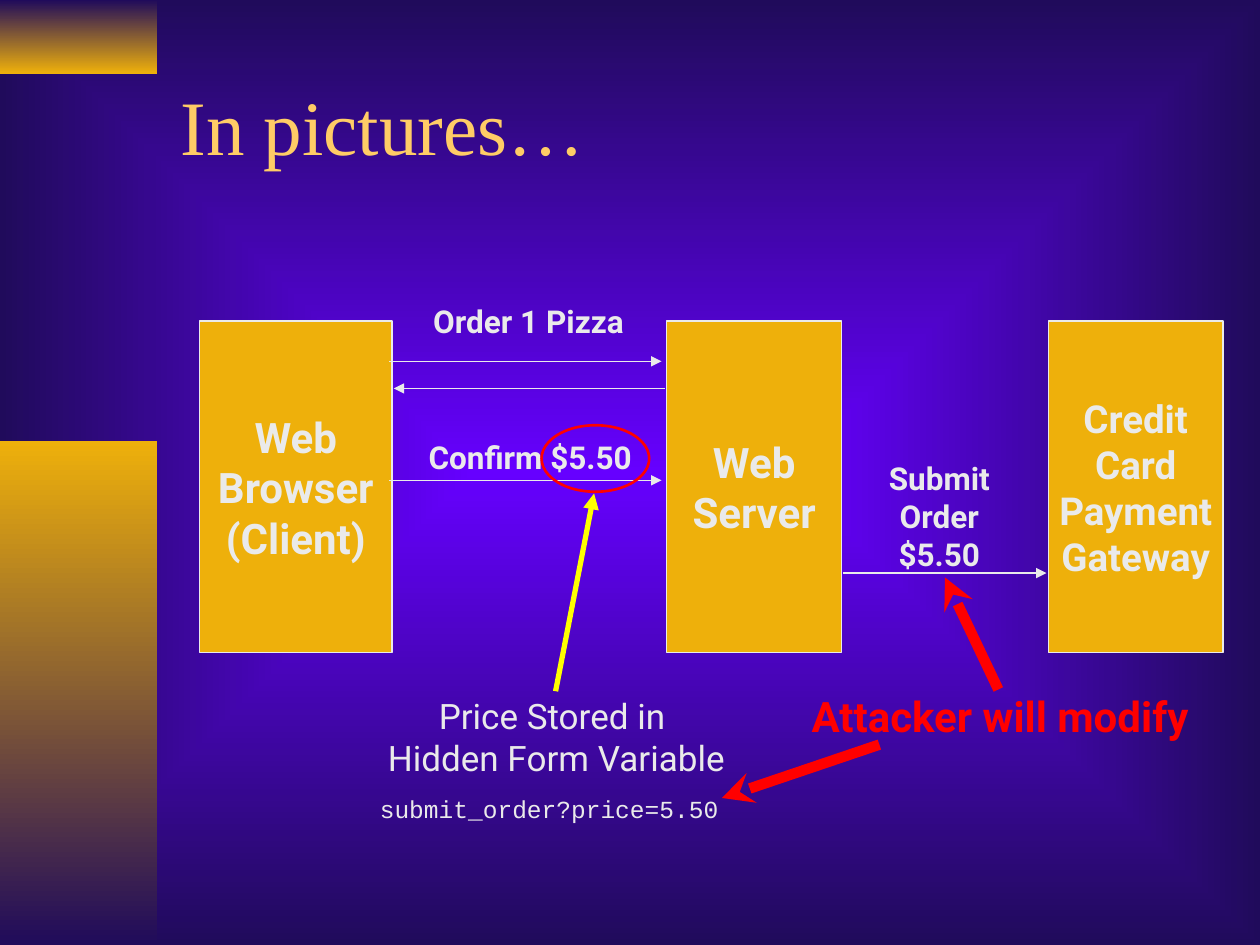
from dataclasses import dataclass

import pptx
import pptx.dml.color
import pptx.enum.dml
import pptx.enum.shapes
import pptx.enum.text
import pptx.oxml
import pptx.oxml.ns
import pptx.util

Pt = pptx.util.Pt
qn = pptx.oxml.ns.qn
Shape = pptx.enum.shapes.MSO_SHAPE
Align = pptx.enum.text.PP_ALIGN
Anchor = pptx.enum.text.MSO_ANCHOR
NAMESPACE = pptx.oxml.ns.nsdecls("a")


@dataclass(frozen=True)
class Theme:
    """Colours, fonts and type sizes of the slide."""
    violet: str = "6600FF"
    navy: str = "200B5B"
    gold: str = "EEB00B"
    title: str = "FFCC66"
    light: str = "EAEAEA"
    red: str = "FF0000"
    yellow: str = "FFFF00"
    serif: str = "Times New Roman"
    sans: str = "Roboto"
    mono: str = "Courier New"
    title_size: int = 44
    node_size: int = 24
    gateway_size: int = 22
    note_size: int = 20
    label_size: int = 18
    code_size: int = 14


THEME = Theme()


def rgb(value):
    """Turn a hex string into a colour."""
    return pptx.dml.color.RGBColor.from_string(value)


def fill_gradient(fill, start, end):
    """Fill from the start colour at the top to the end colour at the bottom."""
    fill.gradient()
    fill.gradient_angle = 270
    for stop, colour, position in zip(fill.gradient_stops, (start, end), (0, 1)):
        stop.color.rgb = rgb(colour)
        stop.position = position


def paint_background(page):
    """Paint a rectangular gradient that spreads from the centre."""
    fill_gradient(page.background.fill, THEME.violet, THEME.navy)
    gradient = page.element.find(".//" + qn("a:gradFill"))
    gradient.remove(gradient.find(qn("a:lin")))
    gradient.append(pptx.oxml.parse_xml(
        f'<a:path {NAMESPACE} path="rect">'
        '<a:fillToRect l="50000" t="50000" r="50000" b="50000"/></a:path>'))


def write_paragraph(para, text, size, font=THEME.sans, colour=THEME.light,
                    bold=False, align=Align.CENTER, before=0):
    """Write one paragraph, with a line break at each newline."""
    para.alignment = align
    para.space_before = Pt(before)
    for index, line in enumerate(text.split("\n")):
        if index:
            para.add_line_break()
        span = para.add_run()
        span.text = line
        span.font.size = Pt(size)
        span.font.name = font
        span.font.bold = bold
        span.font.color.rgb = rgb(colour)


def add_text(page, box, paragraphs, size, wrap=False, anchor=Anchor.TOP, **style):
    """Add a text box whose paragraphs share one style."""
    frame = page.shapes.add_textbox(*map(Pt, box)).text_frame
    frame.word_wrap = wrap
    frame.vertical_anchor = anchor
    for index, text in enumerate(paragraphs):
        para = frame.add_paragraph() if index else frame.paragraphs[0]
        write_paragraph(para, text, size, **style)
    return frame


def add_node(page, box, paragraphs, size):
    """Add a gold rectangle with a bold centred name."""
    node = page.shapes.add_shape(Shape.RECTANGLE, *map(Pt, box))
    node.shadow.inherit = False
    node.fill.solid()
    node.fill.fore_color.rgb = rgb(THEME.gold)
    node.line.color.rgb = rgb(THEME.light)
    node.line.width = Pt(0.75)
    frame = node.text_frame
    frame.word_wrap = False
    frame.vertical_anchor = Anchor.MIDDLE
    for index, text in enumerate(paragraphs):
        para = frame.add_paragraph() if index else frame.paragraphs[0]
        write_paragraph(para, text, size, bold=True)


def add_arrow(page, start, end, colour=THEME.light, width=0.75,
              tip="tailEnd", style="triangle"):
    """Add a straight line with one arrowhead."""
    arrow = page.shapes.add_connector(
        pptx.enum.shapes.MSO_CONNECTOR.STRAIGHT, *map(Pt, (*start, *end)))
    arrow.line.color.rgb = rgb(colour)
    arrow.line.width = Pt(width)
    properties = arrow.element.spPr
    properties.find(qn("a:ln")).append(
        pptx.oxml.parse_xml(f'<a:{tip} {NAMESPACE} type="{style}"/>'))
    properties.append(pptx.oxml.parse_xml(f"<a:effectLst {NAMESPACE}/>"))


def add_sidebar(page, box):
    """Place the two fading gold bars at the ends of the left edge."""
    left, top, width, height = box
    bars = ((0, 42, THEME.navy, THEME.gold),
            (height - 288, 288, THEME.gold, THEME.navy))
    for offset, length, start, end in bars:
        bar = page.shapes.add_shape(
            Shape.RECTANGLE, *map(Pt, (left, top + offset, width, length)))
        bar.shadow.inherit = False
        fill_gradient(bar.fill, start, end)
        bar.line.fill.background()


def add_title(page, box):
    """Place the slide title."""
    add_text(page, box, ["In pictures…"], THEME.title_size, wrap=True,
             anchor=Anchor.MIDDLE, font=THEME.serif, colour=THEME.title,
             align=Align.LEFT)


def add_order_flow(page, box):
    """Place the three systems and the messages between them."""
    left, top, width, height = box
    nodes = (
        (267, 100, ["Web", "Server"], THEME.node_size),
        (0, 110, ["Web", "Browser\n(Client)"], THEME.node_size),
        (width - 100, 100, ["Credit", "Card", "Payment", "Gateway"],
         THEME.gateway_size),
    )
    for offset, node_width, names, size in nodes:
        add_node(page, (left + offset, top, node_width, height), names, size)
    messages = ((108.5, 264, 23), (266, 111, 38.5),
                (108.5, 264, 91), (368, 484, 144))
    for start, end, offset in messages:
        add_arrow(page, (left + start, top + offset), (left + end, top + offset))
    labels = (
        (122, -14.5, 132, 29, ["Order 1 Pizza"]),
        (120, 63.5, 138, 29, ["Confirm $5.50"]),
        (383.5, 75.5, 78.5, 72, ["Submit\nOrder", "$5.50"]),
    )
    for across, down, label_width, label_height, lines in labels:
        add_text(page, (left + across, top + down, label_width, label_height),
                 lines, THEME.label_size, bold=True)
    ring = page.shapes.add_shape(
        Shape.OVAL, *map(Pt, (left + 195.5, top + 59.5, 61.5, 38)))
    ring.shadow.inherit = False
    ring.fill.background()
    ring.line.color.rgb = rgb(THEME.red)
    ring.line.width = Pt(1.5)


def add_price_note(page, box):
    """Place the note on the hidden price and its yellow arrow."""
    left, top, width, height = box
    frame = add_text(page, box, ["Price Stored in \nHidden Form Variable"],
                     THEME.note_size, wrap=True, before=12.5)
    write_paragraph(frame.add_paragraph(), "submit_order?price=5.50",
                    THEME.code_size, font=THEME.mono, align=Align.LEFT, before=8.8)
    add_arrow(page, (left + width / 2 - 0.5, top + 1.5),
              (left + 129.5, top - 111.5), THEME.yellow, 3)


def add_attack_note(page, box):
    """Place the attacker warning and its two red arrows."""
    left, top, width, height = box
    add_text(page, box, ["Attacker will modify"], THEME.node_size,
             colour=THEME.red, bold=True)
    targets = (((97, -61), (127.5, 3)), ((-30.5, 65), (59.5, 34.5)))
    for tip, origin in targets:
        add_arrow(page, (left + tip[0], top + tip[1]),
                  (left + origin[0], top + origin[1]),
                  THEME.red, 6, "headEnd", "stealth")


def main():
    """Build the slide and save it."""
    deck = pptx.Presentation()
    deck.slide_width, deck.slide_height = Pt(720), Pt(540)
    page = deck.slides.add_slide(deck.slide_layouts[6])
    paint_background(page)
    add_sidebar(page, (0, 0, 90, 540))
    add_title(page, (96, 24, 612, 95))
    add_order_flow(page, (114, 183.5, 585, 189.5))
    add_price_note(page, (210, 393.5, 216, 105))
    add_attack_note(page, (443, 391, 257, 36))
    deck.save("out.pptx")


if __name__ == "__main__":
    main()
